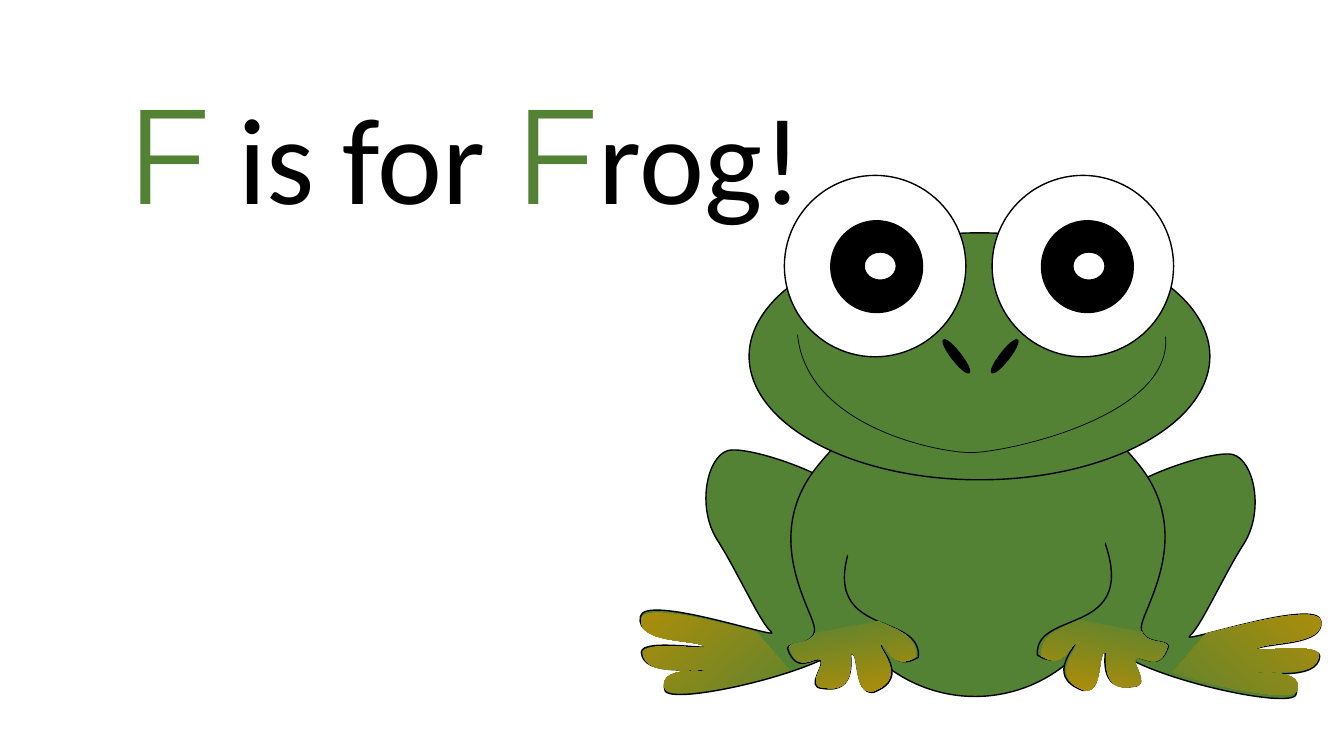
from math import cos, radians, sin

from lxml.etree import SubElement
from pptx import Presentation
from pptx.dml.color import RGBColor
from pptx.enum.shapes import MSO_SHAPE
from pptx.enum.text import MSO_ANCHOR, PP_ALIGN
from pptx.oxml.ns import qn
from pptx.util import Inches, Pt

COLORS = {"green": "548235", "gold": "BF9000", "black": "000000", "white": "FFFFFF"}

TITLE_RUNS = [
    ("F", 96, "Montserrat", "green"),
    (" is for ", 88, "Calibri", "black"),
    ("F", 96, "Montserrat", "green"),
    ("rog! ", 88, "Calibri", "black"),
]

# Outlines of the left half: a start point, then segments of
# one point (straight) or three points (cubic curve).
LEG = [
    (7.11, 5.35),
    (6.91, 5.03, 7.01, 4.53, 7.22, 4.47), (7.44, 4.41, 8.5, 4.79, 8.41, 5),
    (8.33, 5.2, 8.54, 6.04, 8.44, 6.33), (8.34, 6.62, 6.73, 7, 6.6, 6.86),
    (6.48, 6.55, 7.26, 6.7, 7.1, 6.66), (6.94, 6.61, 6.38, 6.73, 6.36, 6.47),
    (6.37, 6.32, 7.14, 6.47, 7, 6.4), (6.86, 6.33, 6.31, 6.37, 6.35, 6.12),
    (6.38, 5.88, 7.77, 6.36, 7.65, 6.27), (7.54, 6.18, 7.31, 5.66, 7.11, 5.35),
]
ARM = [
    (8.12, 4.61),
    (8.71, 3.89, 9.18, 3.91, 9.27, 3.98), (9.35, 4.05, 8.65, 4.59, 8.62, 5.01),
    (7.85, 6.43, 9.15, 6, 9.11, 6.52), (8.87, 6.67, 8.8, 6.4, 8.75, 6.4),
    (8.67, 6.39, 9.07, 6.72, 8.66, 6.87), (8.46, 6.88, 8.53, 6.46, 8.44, 6.48),
    (8.42, 6.47, 8.53, 6.89, 8.16, 6.83), (7.97, 6.82, 8.21, 6.58, 8.13, 6.55),
    (8.06, 6.52, 7.9, 6.7, 7.81, 6.43), (7.82, 6.36, 8.08, 6.42, 8.08, 6.24),
    (8.07, 6.06, 7.53, 5.32, 8.12, 4.61),
]
FOOT = [
    (6.5, 6.08),
    (6.42, 6.08, 6.37, 6.1, 6.36, 6.14), (6.33, 6.38, 6.85, 6.34, 6.99, 6.41),
    (7.12, 6.47, 6.39, 6.34, 6.38, 6.48), (6.39, 6.73, 6.93, 6.61, 7.08, 6.66),
    (7.24, 6.7, 6.49, 6.55, 6.6, 6.84), (6.68, 6.93, 7.31, 6.82, 7.8, 6.66),
    (7.83, 6.65), (7.5, 6.27), (7.47, 6.26), (7.22, 6.2, 6.74, 6.07, 6.5, 6.08),
]
HAND = [
    (8.71, 6.16), (8.08, 6.28), (8.08, 6.29),
    (8.03, 6.4, 7.83, 6.36, 7.83, 6.42), (7.91, 6.69, 8.07, 6.51, 8.14, 6.54),
    (8.21, 6.57, 7.98, 6.81, 8.17, 6.82), (8.53, 6.89, 8.41, 6.47, 8.44, 6.48),
    (8.53, 6.46, 8.46, 6.88, 8.65, 6.86), (9.05, 6.72, 8.66, 6.39, 8.74, 6.39),
    (8.79, 6.4, 8.85, 6.66, 9.08, 6.52), (9.1, 6.32, 8.93, 6.26, 8.75, 6.18),
    (8.71, 6.16),
]
MOUTH = [
    (11.56, 3.34),
    (11.63, 4.15, 9.92, 4.5, 9.62, 4.49), (9.32, 4.49, 8, 4.24, 7.91, 3.32),
]


def color(name):
    return RGBColor.from_string(COLORS[name])


def style(shape, fill, line_width):
    """Fill with one colour, a pair as a gradient, or nothing; 0 means no line."""
    shape.shadow.inherit = False
    if fill is None:
        shape.fill.background()
    elif isinstance(fill, tuple):
        shape.fill.gradient()
        shape.fill.gradient_angle = 270
        for stop, name in zip(shape.fill.gradient_stops, fill):
            stop.color.rgb = color(name)
    else:
        shape.fill.solid()
        shape.fill.fore_color.rgb = color(fill)
    if line_width:
        shape.line.color.rgb = color("black")
        shape.line.width = Pt(line_width)
    else:
        shape.line.fill.background()


def rotate(point, degrees):
    x, y = point
    angle = radians(degrees)
    return x * cos(angle) - y * sin(angle), x * sin(angle) + y * cos(angle)


def mirror(outline, mirror_sum, drop):
    return [
        tuple(value + drop if index % 2 else mirror_sum - value
              for index, value in enumerate(segment))
        for segment in outline
    ]


def bend_segments(shape, segments):
    """Turn the straight segments that have control points into cubic curves."""
    lines = list(shape.element.iter(qn("a:lnTo")))
    for line, segment in zip(lines, segments):
        if len(segment) == 1:
            continue
        line.tag = qn("a:cubicBezTo")
        line.clear()
        for x, y in segment:
            SubElement(line, qn("a:pt"), x=str(x - shape.left), y=str(y - shape.top))


def add_outline(slide, outline, fill, line_width, rotation=0, close=True):
    """Draw an outline where it is, in a frame that is itself rotated."""
    segments = []
    for segment in outline:
        points = [rotate(point, -rotation) for point in zip(segment[::2], segment[1::2])]
        segments.append([(Inches(x), Inches(y)) for x, y in points])
    builder = slide.shapes.build_freeform(*segments[0][0])
    builder.add_line_segments([segment[-1] for segment in segments[1:]], close=close)
    shape = builder.convert_to_shape()
    bend_segments(shape, segments[1:])
    center = (shape.left + shape.width / 2, shape.top + shape.height / 2)
    center_x, center_y = rotate(center, rotation)
    shape.left = round(center_x - shape.width / 2)
    shape.top = round(center_y - shape.height / 2)
    shape.rotation = rotation
    style(shape, fill, line_width)


def add_limb_pair(slide, outline, mirror_sum, drop, fill, line_width, rotation=0):
    """Draw a left limb and its mirror image, moved down by drop."""
    add_outline(slide, outline, fill, line_width, rotation)
    add_outline(slide, mirror(outline, mirror_sum, drop), fill, line_width, -rotation)


def add_ellipse(slide, left, top, width, height, fill, line_width=1, rotation=0):
    shape = slide.shapes.add_shape(
        MSO_SHAPE.OVAL, Inches(left), Inches(top), Inches(width), Inches(height))
    shape.rotation = rotation
    style(shape, fill, line_width)


def add_title(slide):
    title = slide.shapes.title
    title.left, title.top = Inches(-0.07), Inches(0.65)
    title.width, title.height = Inches(9.62), Inches(1.72)
    title.text_frame.vertical_anchor = MSO_ANCHOR.TOP
    title.text_frame.word_wrap = True
    paragraph = title.text_frame.paragraphs[0]
    paragraph.alignment = PP_ALIGN.CENTER
    for text, size, font_name, color_name in TITLE_RUNS:
        run = paragraph.add_run()
        run.text = text
        run.font.size = Pt(size)
        run.font.name = font_name
        run.font.color.rgb = color(color_name)


def add_body(slide):
    add_limb_pair(slide, LEG, 19.45, 0.04, "green", 1)
    add_ellipse(slide, 8.23, 4.01, 2.88, 2.9, "green")
    add_limb_pair(slide, ARM, 19.4, -0.02, "green", 1)
    add_limb_pair(slide, FOOT, 19.46, 0.02, ("gold", "green"), 0, -41.1)
    add_limb_pair(slide, HAND, 19.41, -0.01, ("green", "gold"), 0, -10.8)
    for left, top, rotation in ((10.3, 4.56, 12.3), (8.22, 4.47, -12.3)):
        add_ellipse(slide, left, top, 0.72, 1.18, "green", 0, rotation)


def add_head(slide):
    add_ellipse(slide, 7.43, 2.31, 4.57, 2.45, "green")
    for eye, pupil, glint in ((9.84, 10.33, 10.64), (7.78, 8.24, 8.57)):
        add_ellipse(slide, eye, 1.74, 1.8, 1.8, "white")
        add_ellipse(slide, pupil, 2.19, 0.91, 0.91, "black")
        add_ellipse(slide, glint, 2.5, 0.32, 0.28, "white")
    for left, rotation in ((9.28, 52), (9.76, -52)):
        add_ellipse(slide, left, 3.49, 0.41, 0.09, "black", 1, rotation)
    add_outline(slide, MOUTH, None, 0.5, close=False)


def main():
    presentation = Presentation()
    presentation.slide_width = Inches(13.33)
    presentation.slide_height = Inches(7.5)
    slide = presentation.slides.add_slide(presentation.slide_layouts[5])
    add_title(slide)
    add_body(slide)
    add_head(slide)
    presentation.save("out.pptx")


if __name__ == "__main__":
    main()
